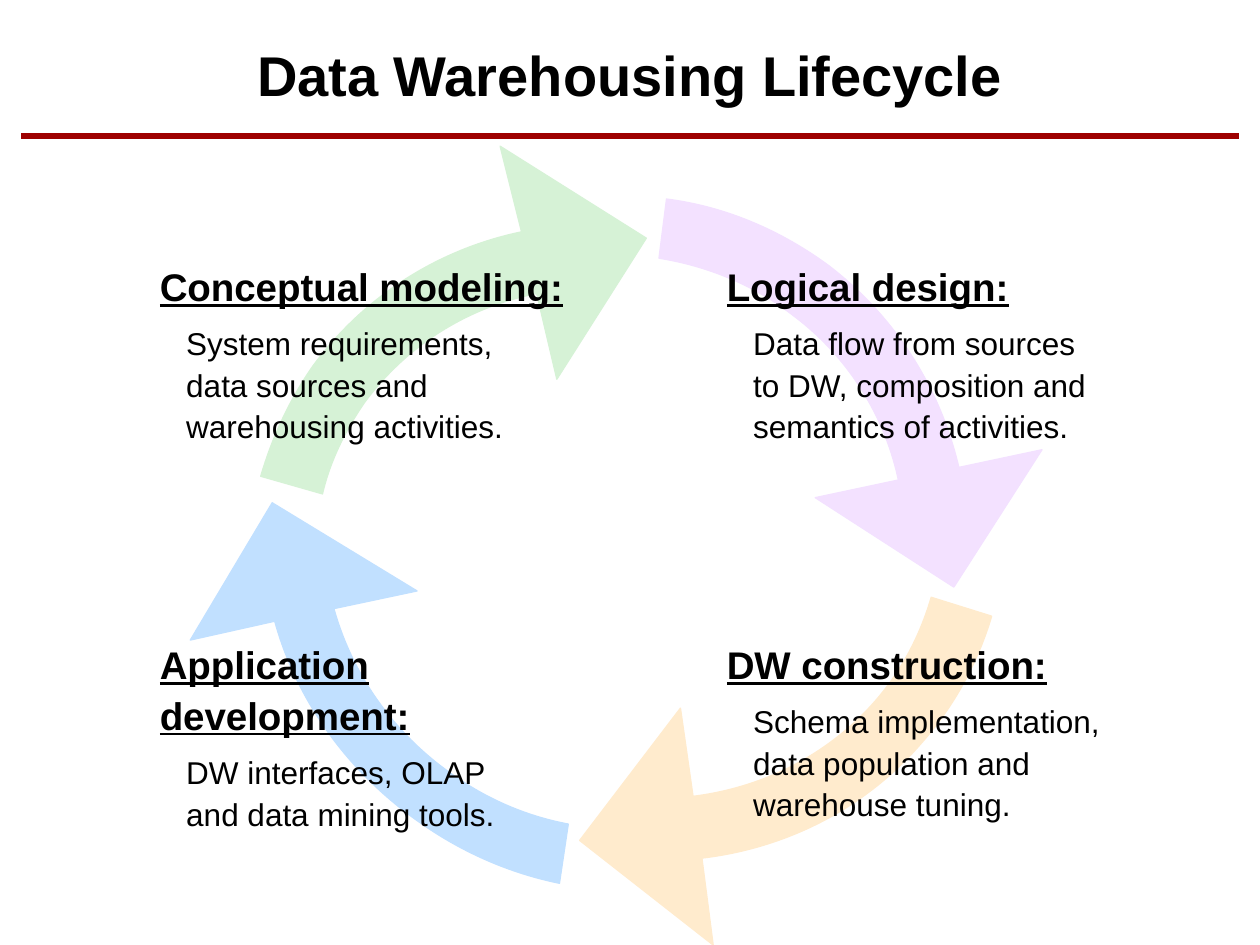
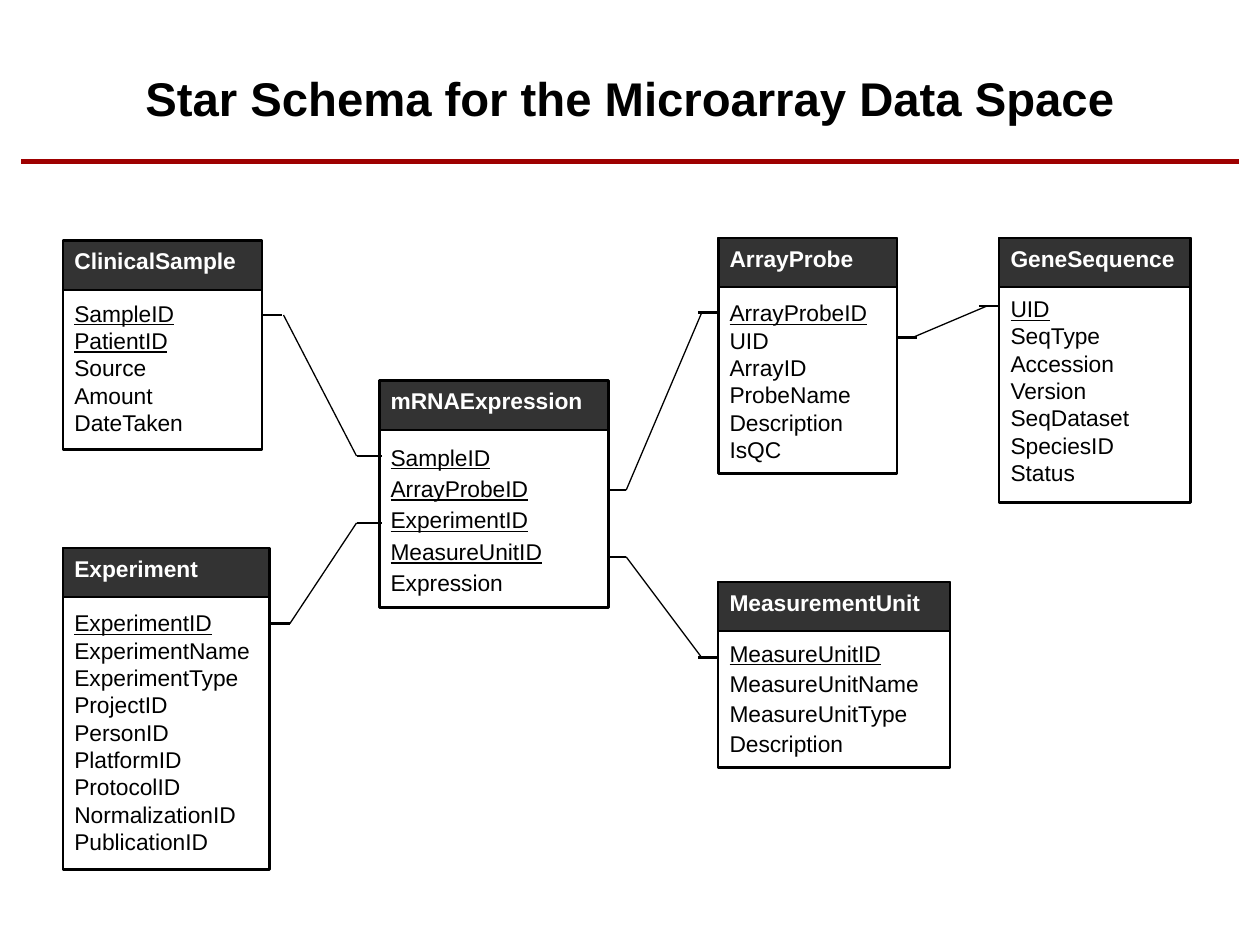
from math import cos, radians, sin

from lxml import etree
from pptx import Presentation
from pptx.dml.color import RGBColor
from pptx.enum.shapes import MSO_CONNECTOR, MSO_SHAPE
from pptx.enum.text import MSO_ANCHOR, PP_ALIGN
from pptx.oxml.ns import qn
from pptx.util import Inches, Pt

STRAIGHT = MSO_CONNECTOR.STRAIGHT
RECTANGLE = MSO_SHAPE.RECTANGLE
TOP, MIDDLE = MSO_ANCHOR.TOP, MSO_ANCHOR.MIDDLE
LEFT, CENTER = PP_ALIGN.LEFT, PP_ALIGN.CENTER

BLACK, WHITE, RED, CHARCOAL = "000000", "FFFFFF", "9E0000", "333333"
FONT = "Arial"
STUB = 0.16
HEADER_HEIGHT = 0.39
LINE_FACTOR = 1.2  # line height relative to font size


def rgb(value):
    return RGBColor.from_string(value)


class Deck:
    def __init__(self):
        self.prs = Presentation()
        self.prs.slide_width, self.prs.slide_height = Inches(10), Inches(7.5)
        self.slide = None

    def new_slide(self, title, size, box, rule_y):
        """Start a slide with its title and the red rule below it."""
        self.slide = self.prs.slides.add_slide(self.prs.slide_layouts[6])
        frame = self.text_frame(*box, MIDDLE)
        self.paragraph(frame, title, size, bold=True, align=CENTER)
        self.line((0.17, rule_y), (9.83, rule_y), 3, RED)

    def text_frame(self, x, y, w, h, anchor=TOP):
        box = self.slide.shapes.add_textbox(Inches(x), Inches(y), Inches(w), Inches(h))
        frame = box.text_frame
        frame.word_wrap = True
        frame.vertical_anchor = anchor
        return frame

    def paragraph(self, frame, text, size, color=BLACK, bold=False, underline=False,
                  align=LEFT, spacing=1.0, before=0, indent=0):
        para = frame.paragraphs[0]
        if para.runs:
            para = frame.add_paragraph()
        para.add_run().text = text
        para.alignment = align
        para.line_spacing = spacing
        para.space_before = Pt(before)
        if indent:
            para._p.get_or_add_pPr().set("marL", str(Inches(indent)))
        font = para.font
        font.name, font.size, font.bold, font.underline = FONT, Pt(size), bold, underline
        font.color.rgb = rgb(color)

    def line(self, start, end, width, color=BLACK):
        connector = self.slide.shapes.add_connector(
            STRAIGHT, *(Inches(v) for v in (*start, *end)))
        connector.line.color.rgb = rgb(color)
        connector.line.width = Pt(width)
        etree.SubElement(connector._element.spPr, qn("a:effectLst"))

    def paint(self, shape, fill, line, width):
        shape.shadow.inherit = False
        if fill:
            shape.fill.solid()
            shape.fill.fore_color.rgb = rgb(fill)
        else:
            shape.fill.background()
        shape.line.color.rgb = rgb(line)
        shape.line.width = Pt(width)

    def rectangle(self, x, y, w, h, fill, width, line=BLACK):
        shape = self.slide.shapes.add_shape(
            RECTANGLE, Inches(x), Inches(y), Inches(w), Inches(h))
        self.paint(shape, fill, line, width)
        return shape

    def arrow(self, color, box, angle, start, *segments):
        """Turned outline of lines (one point) and curves (three points)."""
        x, y, w, h = box
        corners = [(x, y), (x + w, y), (x + w, y + h), (x, y + h)]
        corners = [(Inches(cx), Inches(cy)) for cx, cy in corners]
        builder = self.slide.shapes.build_freeform(*corners[0])
        builder.add_line_segments(corners[1:], close=True)
        shape = builder.convert_to_shape()
        shape.rotation = angle
        self.paint(shape, color, color, 0.75)

        # Put the outline, turned back into the box, in place of the box edges
        cosine, sine = cos(radians(angle)), sin(radians(angle))
        path = next(shape._element.iter(qn("a:path")))
        for edge in list(path):
            path.remove(edge)

        def command(tag, points):
            step = etree.SubElement(path, qn(tag))
            for px, py in points:
                dx, dy = px - x - w / 2, py - y - h / 2
                etree.SubElement(step, qn("a:pt"),
                                 x=str(Inches(w / 2 + dx * cosine + dy * sine)),
                                 y=str(Inches(h / 2 - dx * sine + dy * cosine)))

        command("a:moveTo", [start])
        for segment in segments:
            command("a:cubicBezTo" if len(segment) == 3 else "a:lnTo", segment)
        command("a:close", [])

    def phase(self, x, y, width, height, heading, lines):
        """Underlined heading with indented lines."""
        frame = self.text_frame(x, y, width, height)
        self.paragraph(frame, heading, 22, bold=True, underline=True, spacing=1.1)
        for number, text in enumerate(lines):
            self.paragraph(frame, text, 18, spacing=1.1, indent=0.21,
                           before=0 if number else 6.6)

    def entity(self, x, y, w, h, name, keys, fields, gap, spacing=1.0):
        """Schema table: dark header, underlined keys, plain fields."""
        self.rectangle(x, y, w, HEADER_HEIGHT, CHARCOAL, 1)
        frame = self.rectangle(x, y, w, h, None, 1.5).text_frame
        frame.margin_left = frame.margin_right = Inches(0.09)
        frame.vertical_anchor = TOP
        frame.word_wrap = True
        self.paragraph(frame, name, 13, WHITE, bold=True)
        for number, field in enumerate(keys + fields):
            self.paragraph(frame, field, 13, underline=field in keys, spacing=spacing,
                           before=0 if number else gap * LINE_FACTOR)

    def link(self, start, end, bend_start, bend_end, end_stub=STUB):
        """Two thick stubs joined by a thin slanted line."""
        (x1, y1), (x2, y2) = start, end
        self.line(start, (x1 + STUB, y1), 1.5)
        self.line((x2 - end_stub, y2), end, 1.5)
        self.line((bend_start, y1), (bend_end, y2), 0.75)


def lifecycle_slide(deck):
    deck.new_slide("Data Warehousing Lifecycle", 32, (0.5, 0.25, 9, 0.67), 1.08)

    # Ring of arrows
    deck.arrow("F3E1FF", (2.18, 1.56, 5.5, 5.45), 37.2, (7.13, 3.81),
               [(7.02, 3.29), (6.72, 2.82), (6.29, 2.5)],
               [(5.98, 2.26), (5.61, 2.11), (5.23, 2.05)],
               [(5.29, 1.58)],
               [(5.76, 1.64), (6.2, 1.83), (6.58, 2.11)],
               [(7.1, 2.51), (7.46, 3.07), (7.61, 3.71)],
               [(8.27, 3.57)], [(7.57, 4.66)], [(6.47, 3.95)])
    deck.arrow("FFEBCD", (2.42, 1.2, 5.52, 5.67), 131.1, (5.5, 6.32),
               [(6.06, 6.25), (6.57, 5.99), (6.94, 5.57)],
               [(7.15, 5.33), (7.3, 5.05), (7.39, 4.74)],
               [(7.87, 4.89)],
               [(7.76, 5.26), (7.57, 5.61), (7.31, 5.9)],
               [(6.87, 6.41), (6.25, 6.73), (5.57, 6.81)],
               [(5.66, 7.5)], [(4.6, 6.67)], [(5.4, 5.62)])
    deck.arrow("D6F2D6", (2.05, 1.72, 5.51, 5.72), 305.6, (4.26, 2.33),
               [(3.7, 2.44), (3.22, 2.75), (2.89, 3.2)],
               [(2.74, 3.42), (2.62, 3.66), (2.56, 3.92)],
               [(2.07, 3.78)],
               [(2.16, 3.47), (2.3, 3.17), (2.48, 2.91)],
               [(2.88, 2.36), (3.47, 1.98), (4.14, 1.84)],
               [(3.97, 1.16)], [(5.13, 1.89)], [(4.42, 3.01)])
    deck.arrow("C1E0FF", (2.02, 1.73, 5.63, 5.28), 214.4, (2.65, 4.83),
               [(2.8, 5.37), (3.14, 5.84), (3.61, 6.16)],
               [(3.88, 6.35), (4.19, 6.48), (4.51, 6.54)],
               [(4.44, 7.01)],
               [(4.05, 6.93), (3.68, 6.77), (3.35, 6.54)],
               [(2.78, 6.15), (2.36, 5.58), (2.18, 4.93)],
               [(1.51, 5.08)], [(2.16, 3.99)], [(3.31, 4.69)])

    # Phases
    left, right, upper, lower = 1.17, 5.67, 2, 5
    deck.phase(left, upper, 3.5, 1.59, "Conceptual modeling:",
               ["System requirements,", "data sources and", "warehousing activities."])
    deck.phase(right, upper, 3.5, 1.59, "Logical design:",
               ["Data flow from sources", "to DW, composition and",
                "semantics of activities."])
    deck.phase(right, lower, 3.5, 1.59, "DW construction:",
               ["Schema implementation,", "data population and", "warehouse tuning."])
    deck.phase(left, lower, 3.33, 1.66, "Application development:",
               ["DW interfaces, OLAP", "and data mining tools."])


def star_schema_slide(deck):
    deck.new_slide("Star Schema for the Microarray Data Space", 27,
                   (0.25, 0.5, 9.5, 0.55), 1.28)

    # Relations
    fact_left, fact_right, dimension_left = 3.03, 4.81, 5.7
    deck.link((2.08, 2.5), (fact_left, 3.62), 2.25, 2.83, end_stub=0.2)
    deck.link((2.14, 4.95), (fact_left, 4.15), 2.3, 2.83, end_stub=0.2)
    deck.link((fact_right, 3.89), (dimension_left, 2.48), 4.97, 5.57)
    deck.link((fact_right, 4.42), (dimension_left, 5.22), 4.97, 5.57)
    deck.link((7.12, 2.68), (7.93, 2.43), 7.24, 7.83)

    # Fact table, with a strip that covers the line ends at its right edge
    deck.rectangle(4.57, 2.68, 0.27, 2.54, WHITE, 0.75, line=WHITE)
    deck.entity(3.01, 3.02, 1.82, 1.8, "mRNAExpression",
                ["SampleID", "ArrayProbeID", "ExperimentID", "MeasureUnitID"],
                ["Expression"], gap=12, spacing=1.15)

    # Dimension tables
    deck.entity(0.5, 1.91, 1.58, 1.66, "ClinicalSample", ["SampleID", "PatientID"],
                ["Source", "Amount", "DateTaken"], gap=12)
    deck.entity(0.5, 4.35, 1.64, 2.55, "Experiment", ["ExperimentID"],
                ["ExperimentName", "ExperimentType", "ProjectID", "PersonID",
                 "PlatformID", "ProtocolID", "NormalizationID", "PublicationID"], gap=13)
    deck.entity(dimension_left, 1.89, 1.42, 1.87, "ArrayProbe", ["ArrayProbeID"],
                ["UID", "ArrayID", "ProbeName", "Description", "IsQC"], gap=13)
    deck.entity(dimension_left, 4.62, 1.84, 1.47, "MeasurementUnit", ["MeasureUnitID"],
                ["MeasureUnitName", "MeasureUnitType", "Description"],
                gap=10, spacing=1.1)
    deck.entity(7.93, 1.89, 1.52, 2.1, "GeneSequence", ["UID"],
                ["SeqType", "Accession", "Version", "SeqDataset", "SpeciesID", "Status"],
                gap=11)


def main():
    deck = Deck()
    lifecycle_slide(deck)
    star_schema_slide(deck)
    deck.prs.save("out.pptx")


if __name__ == "__main__":
    main()
